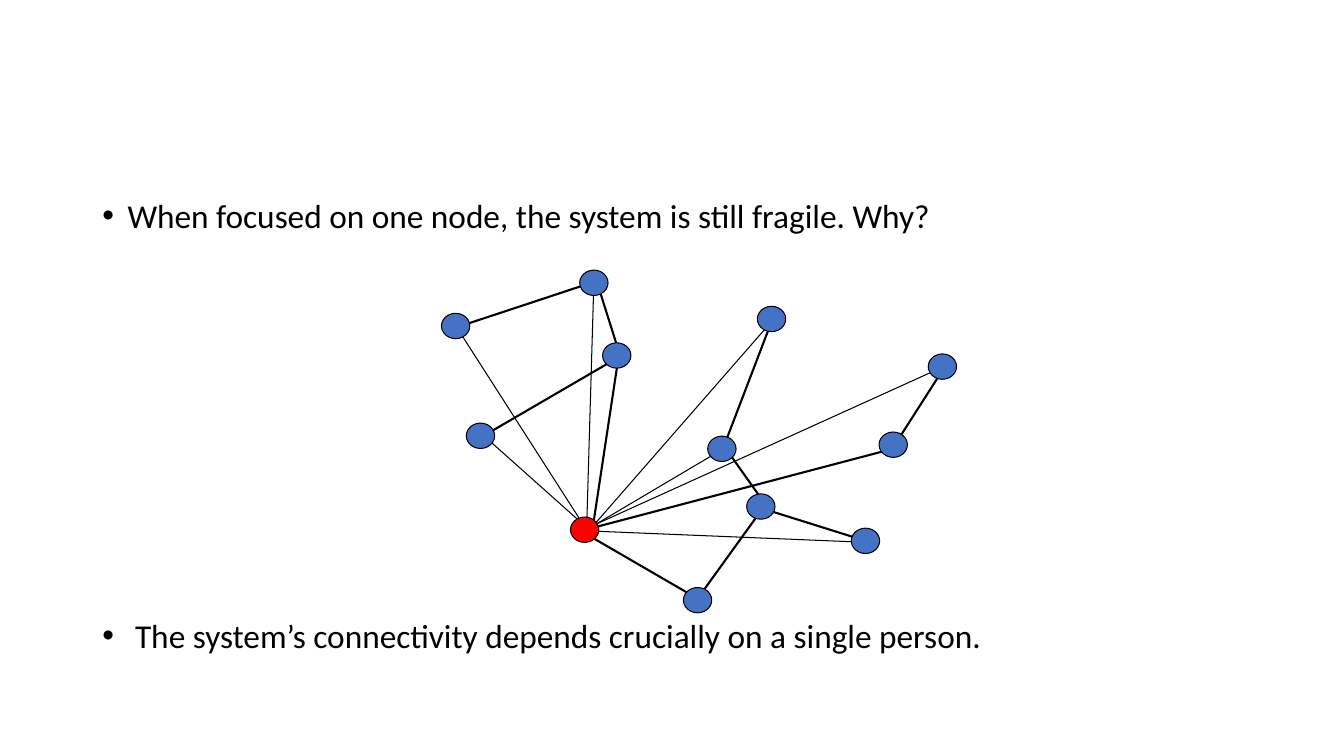
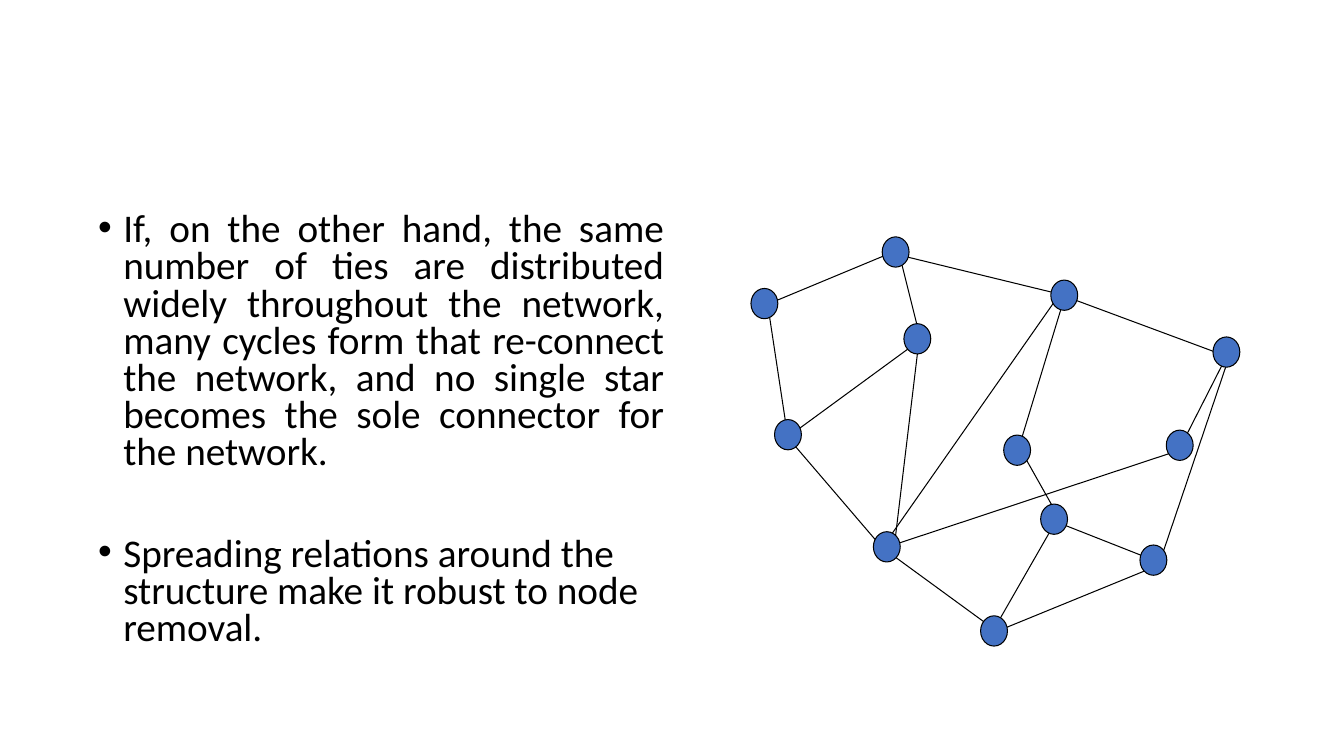
from dataclasses import dataclass

from pptx import Presentation
from pptx.dml.color import RGBColor
from pptx.enum.shapes import MSO_CONNECTOR as Connector, MSO_SHAPE as Shape
from pptx.enum.text import MSO_ANCHOR as Anchor, PP_ALIGN as Align
from pptx.oxml.ns import qn
from pptx.oxml.xmlchemy import OxmlElement
from pptx.util import Inches, Pt

WIDTH, HEIGHT = Inches(13.33), Inches(7.5)
COLUMNS, ROWS = 160, 90
FONT = "Calibri"
BLACK, BLUE, RED = "000000", "4472C4", "FF0000"
THIN, THICK = 0.75, 1.5
NODE_WIDTH, NODE_HEIGHT = 5.5, 7.4

NODES = {
    "west": (0, 13.6),
    "north": (28.4, 0),
    "southwest": (5.1, 48.2),
    "inner north": (33.1, 22.9),
    "centre": (54.7, 52.3),
    "northeast": (64.9, 11.4),
    "hub": (26.5, 77.8),
    "inner south": (62.7, 70.5),
    "south": (49.7, 100),
    "inner east": (89.9, 51),
    "east": (100, 26.4),
    "southeast": (84.2, 81.3),
}

BACKBONE = [
    (("west", 0.18, 0), ("north", 0.18, -0.1)),
    (("centre", 0.07, -0.1), ("northeast", 0.07, -0.1)),
    (("east", 0.07, 0.03), ("inner east", 0, 0.1)),
    (("hub", 0.1, 0.2), ("south", 0, -0.06)),
    (("inner north", 0.17, 0), ("southwest", 0.08, 0.02)),
    (("inner south", 0, 0.06), ("southeast", 0, 0)),
    (("hub", 0.1, -0.02), ("inner east", 0.03, 0.15)),
    (("north", 0.13, 0.05), ("inner north", 0.1, -0.06)),
    (("inner north", 0.03, 0.3), ("hub", 0.3, -0.18)),
    (("south", 0, -0.06), ("inner south", 0.08, 0.05)),
    (("inner south", 0.2, -0.02), ("centre", 0.13, -0.02)),
]
HUB_LINKS = [
    (("southeast", 0.03, 0.06), ("hub", 0.4, 0.06)),
    (("east", -0.07, 0.06), ("hub", -0.07, 0.02)),
    (("southwest", 0.14, 0.02), ("hub", 0.1, -0.06)),
    (("west", 0.18, 0.3), ("hub", 0.1, 0.06)),
    (("north", 0, -0.06), ("hub", 0.07, 0)),
    (("centre", -0.1, 0.1), ("hub", 0.07, 0)),
    (("northeast", 0, 0.1), ("hub", 0.18, 0)),
]
NORTH_LINK = [(("north", 0.13, 0.1), ("northeast", 0, 0))]
RING = [
    ("west", 0.13, 0.07),
    ("southwest", 0, 0.1),
    ("hub", -0.17, 0.03),
    ("northeast", -0.17, -0.03),
    ("east", 0.1, 0.17),
    ("southeast", 0.2, 0.17),
    ("south", -0.13, 0.1),
]


@dataclass
class Box:
    left: int
    top: int
    width: int
    height: int

    def node_size(self):
        return round(self.width * NODE_WIDTH / 100), round(self.height * NODE_HEIGHT / 100)

    def node_corner(self, name):
        across, down = NODES[name]
        wide, high = self.node_size()
        return (round(self.left + (self.width - wide) * across / 100),
                round(self.top + (self.height - high) * down / 100))

    def dock(self, name, right, down):
        left, top = self.node_corner(name)
        wide, high = self.node_size()
        return round(left + wide * (0.5 + right)), round(top + high * (0.5 + down))


def grid(column, row, columns, rows):
    return Box(round(WIDTH * column / COLUMNS), round(HEIGHT * row / ROWS),
               round(WIDTH * columns / COLUMNS), round(HEIGHT * rows / ROWS))


def color(value):
    return RGBColor.from_string(value)


def outline(shape, weight):
    shape.line.color.rgb = color(BLACK)
    shape.line.width = Pt(weight)


def add_bullet(para):
    props = para._p.get_or_add_pPr()
    props.set("marL", str(Inches(0.25)))
    props.set("indent", str(-Inches(0.25)))
    for tag, key, value in (("a:buFont", "typeface", "Arial"), ("a:buChar", "char", "•")):
        element = OxmlElement(tag)
        element.set(key, value)
        props.append(element)


def add_bullets(page, box, items, size, spacing, gap):
    frame = page.shapes.add_textbox(box.left, box.top, box.width, box.height).text_frame
    frame.word_wrap = True
    frame.vertical_anchor = Anchor.TOP
    for index, (text, align) in enumerate(items):
        para = frame.add_paragraph() if index else frame.paragraphs[0]
        add_bullet(para)
        para.text = text
        para.alignment = align
        para.line_spacing = spacing
        para.space_before = Pt(gap if index else 0)
        para.font.name = FONT
        para.font.size = Pt(size)
        para.font.color.rgb = color(BLACK)


def add_links(page, box, links, weight):
    for start, end in links:
        link = page.shapes.add_connector(Connector.STRAIGHT, *box.dock(*start), *box.dock(*end))
        outline(link, weight)
        link._element.find(qn("p:spPr")).append(OxmlElement("a:effectLst"))


def add_ring(page, box):
    first, *others = [box.dock(*stop) for stop in RING]
    builder = page.shapes.build_freeform(*first)
    builder.add_line_segments(others, close=False)
    ring = builder.convert_to_shape()
    ring.shadow.inherit = False
    ring.fill.background()
    outline(ring, THIN)


def add_nodes(page, box, highlighted=None):
    for name in NODES:
        node = page.shapes.add_shape(Shape.OVAL, *box.node_corner(name), *box.node_size())
        node.shadow.inherit = False
        node.fill.solid()
        node.fill.fore_color.rgb = color(RED if name == highlighted else BLUE)
        outline(node, THIN)


def fragile_slide(page):
    add_bullets(page, grid(11, 24, 138, 57), [
        ("When focused on one node, the system is still fragile. Why?", Align.LEFT),
        (" The system’s connectivity depends crucially on a single person.", Align.LEFT),
    ], size=23.8, spacing=0.7, gap=280)
    network = grid(52.56, 32.16, 61.32, 40.8)
    add_links(page, network, HUB_LINKS, THIN)
    add_links(page, network, BACKBONE, THICK)
    add_nodes(page, network, highlighted="hub")


def robust_slide(page):
    add_bullets(page, grid(10.5, 24.75, 69.75, 57), [
        ("If, on the other hand, the same number of ties are distributed widely "
         "throughout the network, many cycles form that re-connect the network, "
         "and no single star becomes the sole connector for the network.", Align.JUSTIFY),
        ("Spreading relations around the structure make it robust to node removal.", Align.LEFT),
    ], size=28, spacing=0.79, gap=46)
    network = grid(89.4, 28.2, 58.2, 48.72)
    add_ring(page, network)
    add_links(page, network, NORTH_LINK + BACKBONE, THIN)
    add_nodes(page, network)


def main():
    deck = Presentation()
    deck.slide_width, deck.slide_height = WIDTH, HEIGHT
    for build in (fragile_slide, robust_slide):
        build(deck.slides.add_slide(deck.slide_layouts[6]))
    deck.save("out.pptx")


if __name__ == "__main__":
    main()
